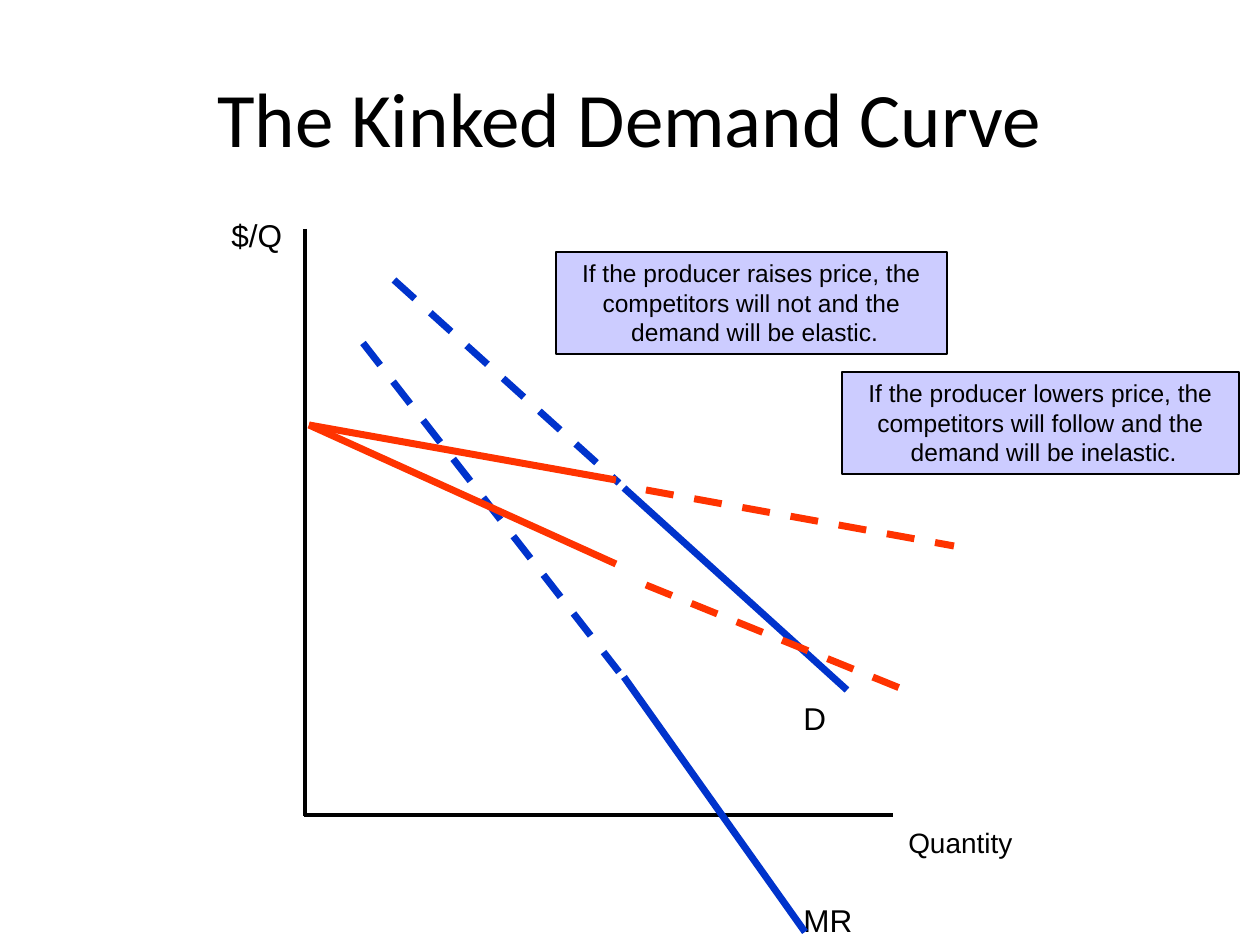
from lxml import etree
from pptx import Presentation
from pptx import util as u
from pptx.dml.color import RGBColor
from pptx.enum import dml, shapes, text
from pptx.oxml import ns

PX = 914400 // 126
COLORS = {"ink": "000000", "demand": "0033CC", "kinked": "FF3300", "note": "CCCCFF"}

TITLE = ("The Kinked Demand Curve", (63, 38, 1134, 158))
AXES = [((305, 229), (305, 816)), ((304, 815), (893, 815))]
LABELS = [
    ("$/Q", (219, 210, 76, 50), 18),
    ("Quantity", (896, 819, 139, 45), 16),
    ("MR", (791, 895, 74, 50), 18),
    ("D", (791, 693, 48, 50), 18),
]
CURVES = [
    ("demand", "solid", (624, 488), (847, 690)),
    ("demand", "solid", (624, 677), (805, 932)),
    ("demand", "dash", (394, 280), (619, 483)),
    ("demand", "dash", (363, 343), (619, 672)),
    ("kinked", "solid", (309, 425), (616, 480)),
    ("kinked", "solid", (309, 425), (616, 564)),
    ("kinked", "dash", (646, 490), (954, 546)),
    ("kinked", "dash", (646, 585), (912, 693)),
]
NOTES = [
    ((842, 372, 397, 102), ["If the producer lowers price, the",
                            "competitors will follow and the",
                            " demand will be inelastic."]),
    ((556, 252, 391, 102), ["If the producer raises price, the",
                            "competitors will not and the",
                            " demand will be elastic."]),
]


def emu(values):
    return [value * PX for value in values]


def color(name):
    return RGBColor.from_string(COLORS[name])


def write(frame, lines, size, font="Arial", align=text.PP_ALIGN.LEFT,
          anchor=text.MSO_ANCHOR.TOP, wrap=False):
    frame.word_wrap = wrap
    frame.vertical_anchor = anchor
    for index, line in enumerate(lines):
        paragraph = frame.add_paragraph() if index else frame.paragraphs[0]
        paragraph.alignment = align
        run = paragraph.add_run()
        run.text = line
        run.font.name = font
        run.font.size = u.Pt(size)
        run.font.color.rgb = color("ink")


def draw_line(slide, start, end, ink, width, dash="solid"):
    line = slide.shapes.add_connector(shapes.MSO_CONNECTOR.STRAIGHT, *emu(start + end))
    line.line.color.rgb = color(ink)
    line.line.width = u.Pt(width)
    if dash == "dash":
        line.line.dash_style = dml.MSO_LINE.DASH
    etree.SubElement(line._element.spPr, ns.qn("a:effectLst"))


def draw_note(slide, box, lines):
    note = slide.shapes.add_shape(shapes.MSO_SHAPE.RECTANGLE, *emu(box))
    note.shadow.inherit = False
    note.fill.solid()
    note.fill.fore_color.rgb = color("note")
    note.line.color.rgb = color("ink")
    note.line.width = u.Pt(1)
    write(note.text_frame, lines, 14, align=text.PP_ALIGN.CENTER)


def main():
    deck = Presentation()
    deck.slide_width, deck.slide_height = emu((1260, 945))
    slide = deck.slides.add_slide(deck.slide_layouts[6])

    heading, box = TITLE
    write(slide.shapes.add_textbox(*emu(box)).text_frame, [heading], 44, "Calibri",
          text.PP_ALIGN.CENTER, text.MSO_ANCHOR.MIDDLE, True)
    for start, end in AXES:
        draw_line(slide, start, end, "ink", 2)
    for label, box, size in LABELS:
        write(slide.shapes.add_textbox(*emu(box)).text_frame, [label], size)
    for ink, dash, start, end in CURVES:
        draw_line(slide, start, end, ink, 4, dash)
    for box, lines in NOTES:
        draw_note(slide, box, lines)

    deck.save("out.pptx")


if __name__ == "__main__":
    main()
